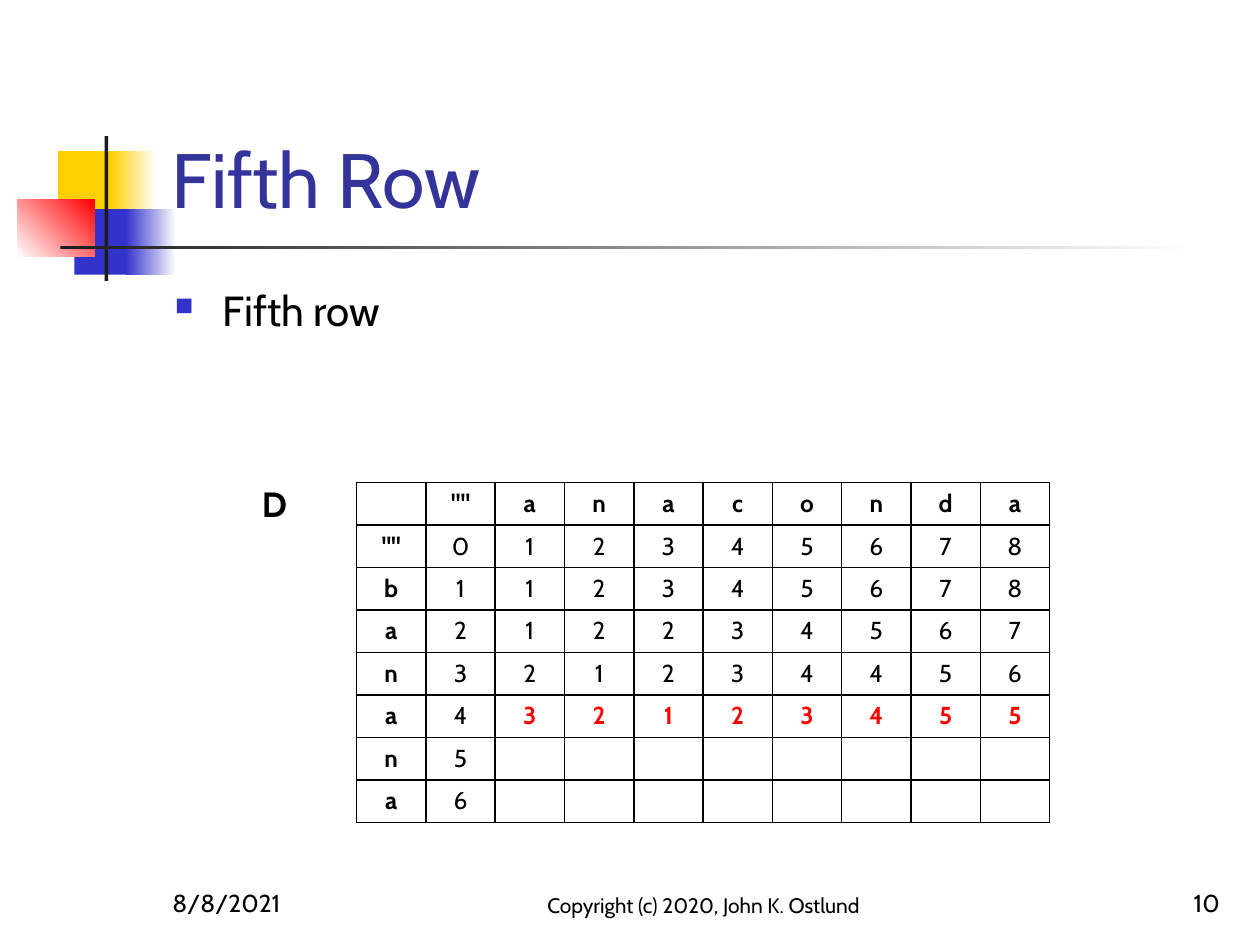
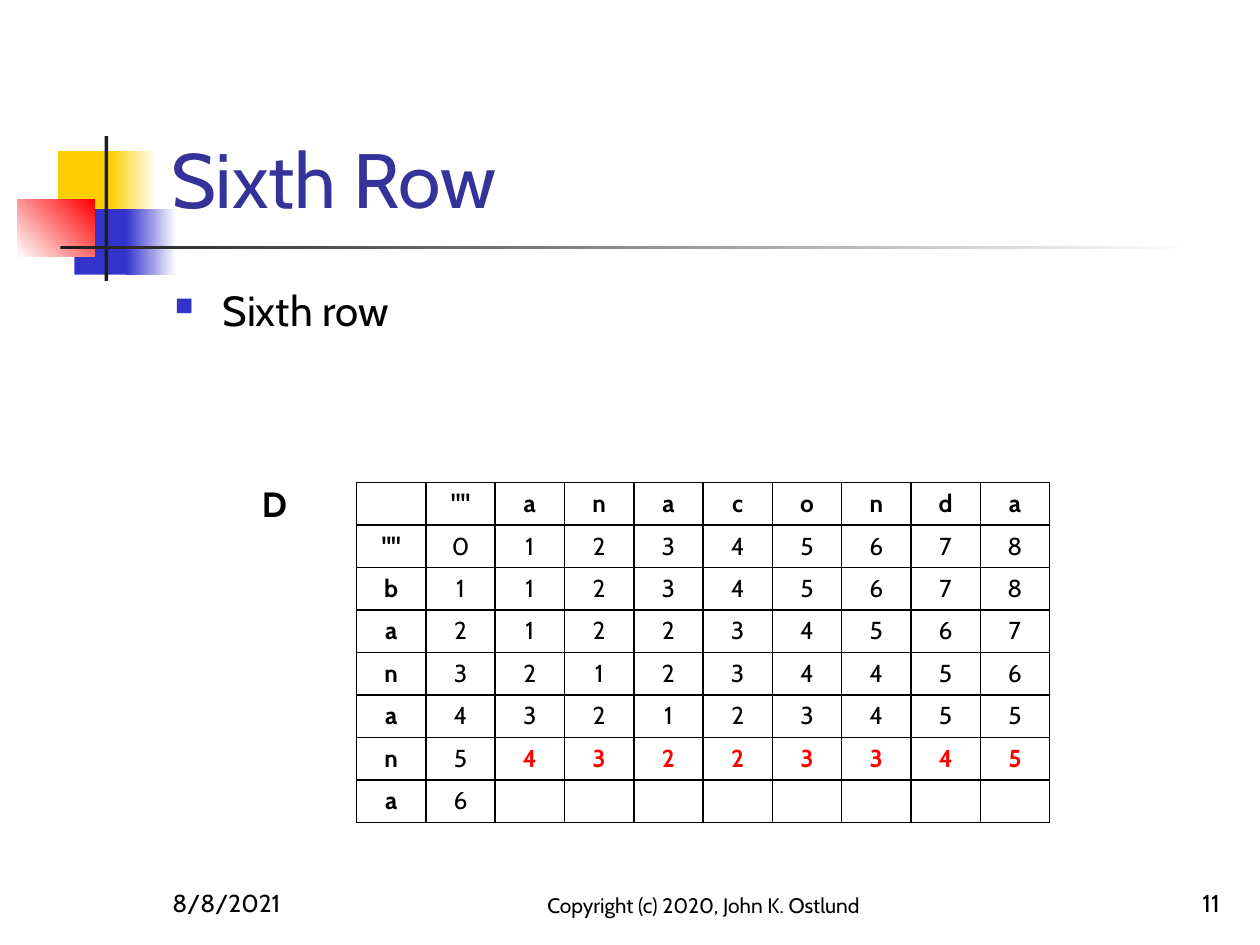
"""Build two slides that fill an edit-distance table row by row."""
from dataclasses import dataclass
from typing import Any, NamedTuple, Optional

from lxml.etree import SubElement
from pptx import Presentation
from pptx.dml.color import RGBColor
from pptx.enum.shapes import MSO_SHAPE
from pptx.enum.text import MSO_ANCHOR, MSO_AUTO_SIZE, PP_ALIGN
from pptx.oxml.ns import qn
from pptx.util import Inches, Pt

FONT = "Cabin"
COLOURS = {
    "text": "000000", "title": "333399", "paper": "FFFFFF", "yellow": "FFCF01",
    "blue": "3333CC", "red": "FF0000", "bar": "1C1C1C",
}
COLS, ROWS = 100, 75
SOURCE, TARGET = "banana", "anaconda"
EMPTY = '""'


class Box(NamedTuple):
    """Left, top, width and height in grid columns and rows."""
    x: float
    y: float
    w: float
    h: float


class Patch(NamedTuple):
    """A decorative rectangle, plain or fading to a second colour."""
    box: Box
    start: str
    end: Optional[str] = None
    angle: float = 0


@dataclass
class Label:
    """A line of text with its place and format."""
    text: str
    box: Box
    size: float = 14
    colour: str = "text"
    bold: bool = False
    align: PP_ALIGN = PP_ALIGN.LEFT
    anchor: MSO_ANCHOR = MSO_ANCHOR.BOTTOM


@dataclass
class Step:
    """One slide: its ordinal, its number and the row it fills."""
    ordinal: str
    number: int
    row: int


PATCHES = [
    Patch(Box(4.6, 12, 4.8, 5.2), "yellow"),
    Patch(Box(8.8, 12, 3.6, 5.2), "yellow", "paper"),
    Patch(Box(5.9, 16.6, 4.6, 5.2), "blue"),
    Patch(Box(10, 16.6, 4, 5.2), "blue", "paper"),
    Patch(Box(1.4, 15.8, 6.1, 4.6), "paper", "red", 45),
    Patch(Box(8.3, 10.8, 0.3, 11.5), "bar"),
    Patch(Box(4.8, 19.5, 90, 0.3), "bar", "paper"),
]
TITLE_BOX = Box(12.6, 2.3, 85.2, 16)
BODY_BOX = Box(12.9, 22.1, 85, 6)
TABLE_BOX = Box(28.3, 38.3, 55, 26.7)
FOOTER_Y, FOOTER_H = 68.3, 5
STEPS = [Step("Fifth", 10, 5), Step("Sixth", 11, 6)]


def apply(obj: Any, fmt: dict[str, Any]) -> None:
    """Set each named attribute of an object."""
    for name, value in fmt.items():
        setattr(obj, name, value)


def rgb(name: str) -> RGBColor:
    """Look up a colour by name."""
    return RGBColor.from_string(COLOURS[name])


def place(box: Box) -> dict[str, int]:
    """Turn grid units into slide lengths."""
    dx, dy = Inches(10) / COLS, Inches(7.5) / ROWS
    return {"left": round(box.x * dx), "top": round(box.y * dy),
            "width": round(box.w * dx), "height": round(box.h * dy)}


def write(p: Any, text: str, size: float, colour: str = "text", bold: bool = False) -> None:
    """Add one formatted run to a paragraph."""
    r = p.add_run()
    r.text = text
    apply(r.font, {"name": FONT, "size": Pt(size), "bold": bold})
    r.font.color.rgb = rgb(colour)


def fill_label(sp: Any, label: Label) -> Any:
    """Place a text shape, write its label and return the paragraph."""
    apply(sp, place(label.box))
    tf = sp.text_frame
    apply(tf, {"word_wrap": True, "auto_size": MSO_AUTO_SIZE.NONE,
               "vertical_anchor": label.anchor})
    p = tf.paragraphs[0]
    p.alignment = label.align
    write(p, label.text, label.size, label.colour, label.bold)
    return p


def add_label(s: Any, label: Label) -> Any:
    """Add a text box holding a label."""
    return fill_label(s.shapes.add_textbox(**place(label.box)), label)


def add_patch(s: Any, patch: Patch) -> None:
    """Draw one decorative rectangle."""
    sp = s.shapes.add_shape(MSO_SHAPE.RECTANGLE, **place(patch.box))
    sp.shadow.inherit = False
    sp.line.fill.background()
    if patch.end is None:
        sp.fill.solid()
        sp.fill.fore_color.rgb = rgb(patch.start)
        return
    sp.fill.gradient()
    sp.fill.gradient_angle = patch.angle
    for stop, colour in zip(sp.fill.gradient_stops, (patch.start, patch.end)):
        stop.color.rgb = rgb(colour)


def add_bullet(p: Any) -> None:
    """Give a paragraph a square bullet and a hanging indent."""
    pPr = p._p.get_or_add_pPr()
    pPr.set("marL", str(Inches(0.38)))
    pPr.set("indent", str(-Inches(0.38)))
    colour = SubElement(pPr, qn("a:buClr"))
    SubElement(colour, qn("a:srgbClr"), val=COLOURS["blue"])
    SubElement(pPr, qn("a:buSzPct"), val="60000")
    SubElement(pPr, qn("a:buFont"), typeface="Wingdings")
    SubElement(pPr, qn("a:buChar"), char="n")


def distances() -> list[list[int]]:
    """Compute the edit distance of every pair of prefixes."""
    d = [list(range(len(TARGET) + 1))]
    for i, a in enumerate(SOURCE, 1):
        row = [i]
        for j, b in enumerate(TARGET, 1):
            row.append(min(d[-1][j] + 1, row[-1] + 1, d[-1][j - 1] + (a != b)))
        d.append(row)
    return d


def grid_texts(last: int) -> list[list[str]]:
    """List the table's texts, with rows filled up to the last one."""
    texts = [["", EMPTY, *TARGET]]
    for i, (head, row) in enumerate(zip([EMPTY, *SOURCE], distances())):
        shown = [str(v) if i < last or j == 0 else "" for j, v in enumerate(row)]
        texts.append([head, *shown])
    return texts


def format_cell(cell: Any) -> None:
    """Give a cell thin black borders and no fill."""
    tcPr = cell._tc.get_or_add_tcPr()
    for side in ("lnL", "lnR", "lnT", "lnB"):
        ln = SubElement(tcPr, qn(f"a:{side}"), w=str(Pt(1)))
        SubElement(SubElement(ln, qn("a:solidFill")), qn("a:srgbClr"), val=COLOURS["text"])
    cell.fill.background()


def add_grid(s: Any, step: Step) -> None:
    """Add the distance table with the new row in red."""
    texts = grid_texts(step.row)
    table = s.shapes.add_table(len(texts), len(texts[0]), **place(TABLE_BOX)).table
    apply(table, {"first_row": False, "horz_banding": False})
    for i, row in enumerate(texts):
        for j, text in enumerate(row):
            cell = table.cell(i, j)
            format_cell(cell)
            p = cell.text_frame.paragraphs[0]
            p.alignment = PP_ALIGN.CENTER
            fresh = i == step.row and j > 1
            if text:
                write(p, text, 14, "red" if fresh else "text", fresh or i == 0 or j == 0)
            else:
                end = SubElement(p._p, qn("a:endParaRPr"), sz="1400")
                SubElement(end, qn("a:latin"), typeface=FONT)


def add_step(prs: Any, step: Step) -> None:
    """Build one slide."""
    s = prs.slides.add_slide(prs.slide_layouts[5])
    for patch in PATCHES:
        add_patch(s, patch)
    title = s.shapes.title
    fill_label(title, Label(f"{step.ordinal} Row", TITLE_BOX, 44, "title"))
    s.shapes._spTree.append(title._element)
    add_bullet(add_label(s, Label(f"{step.ordinal} row", BODY_BOX, 24,
                                  anchor=MSO_ANCHOR.TOP)))
    add_label(s, Label("D", Box(19.8, TABLE_BOX.y - 0.8, 5, 5), 20, bold=True,
                       anchor=MSO_ANCHOR.MIDDLE))
    for label in (
        Label("8/8/2021", Box(12.7, FOOTER_Y, 20.8, FOOTER_H)),
        Label("Copyright (c) 2020, John K. Ostlund", Box(40, FOOTER_Y, 31.7, FOOTER_H), 12,
              align=PP_ALIGN.CENTER),
        Label(str(step.number), Box(77, FOOTER_Y, 20.8, FOOTER_H), align=PP_ALIGN.RIGHT),
    ):
        add_label(s, label)
    add_grid(s, step)


def main() -> None:
    """Build and save the presentation."""
    prs = Presentation()
    apply(prs, {"slide_width": Inches(10), "slide_height": Inches(7.5)})
    for step in STEPS:
        add_step(prs, step)
    prs.save("out.pptx")


if __name__ == "__main__":
    main()
